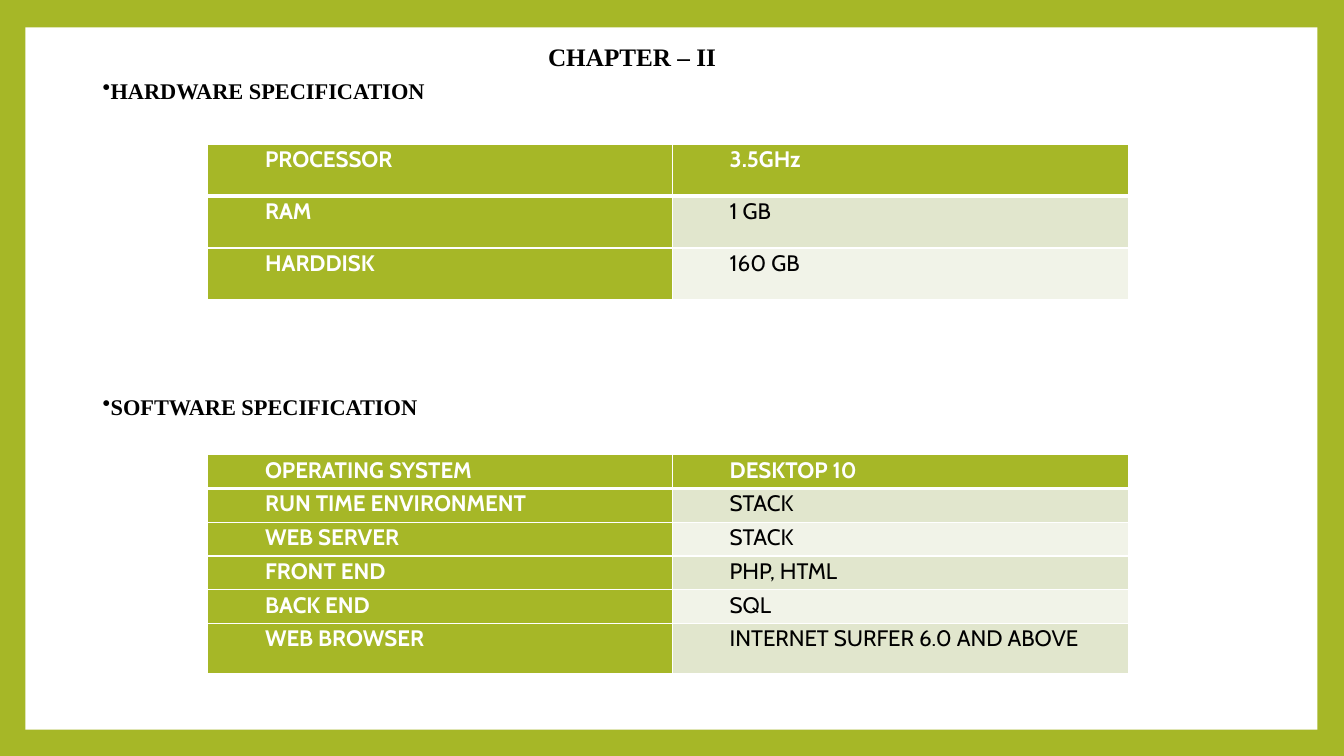
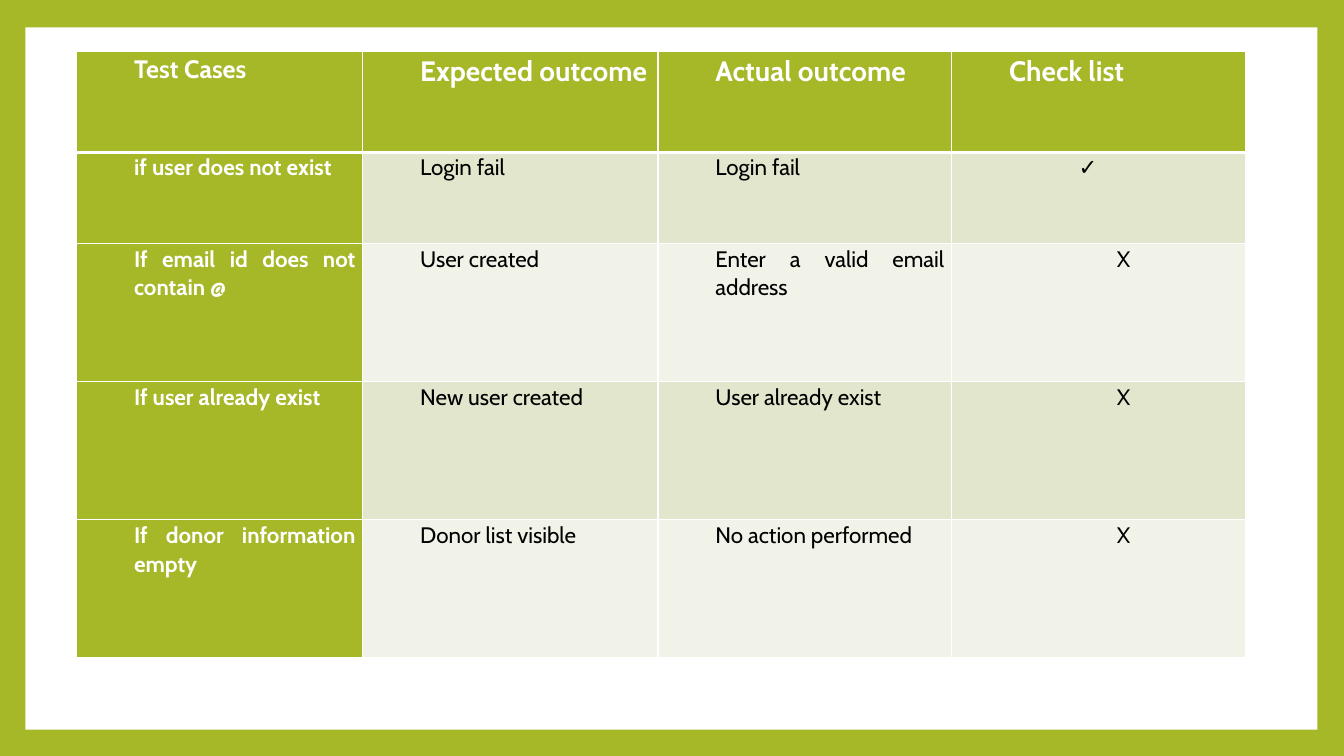
from pptx import Presentation
from pptx.dml.color import RGBColor
from pptx.enum.shapes import MSO_SHAPE
from pptx.enum.text import MSO_ANCHOR, PP_ALIGN
from pptx.oxml import parse_xml
from pptx.oxml.ns import nsdecls
from pptx.util import Cm, Pt

GREEN, WHITE, BLACK = "A6B727", "FFFFFF", "000000"
BANDS = ("E1E6CD", "F1F3E8")
HEADING_FONT, TABLE_FONT = "Times New Roman", "Cabin"
CELL_INDENT, CHECK_INDENT = 1.27, 3.02

CHAPTER = "CHAPTER – II"
SPEC_LEFT, SPEC_COLUMNS = 5.23, (11.71, 11.51)
SECTIONS = [
    {
        "heading": "HARDWARE SPECIFICATION",
        "heading_top": 1.77,
        "table_top": 3.63,
        "heights": [1.31] * 3,
        "rows": [("PROCESSOR", "3.5GHz"), ("RAM", "1 GB"), ("HARDDISK", "160 GB")],
    },
    {
        "heading": "SOFTWARE SPECIFICATION",
        "heading_top": 9.73,
        "table_top": 11.46,
        "heights": [0.85] * 5 + [1.27],
        "rows": [
            ("OPERATING SYSTEM", "DESKTOP 10"),
            ("RUN TIME ENVIRONMENT", "STACK"),
            ("WEB SERVER", "STACK"),
            ("FRONT END", "PHP, HTML"),
            ("BACK END", "SQL"),
            ("WEB BROWSER", "INTERNET SURFER 6.0 AND ABOVE"),
        ],
    },
]

TEST_COLUMNS = (7.21, 7.44, 7.4, 7.4)
TEST_HEIGHTS = (2.54, 2.3, 3.48, 3.48, 3.48)
TEST_HEADER_SIZES = (18, 20, 20, 20)
TEST_ROWS = [
    ("Test Cases", "Expected outcome", "Actual outcome", "Check list"),
    ("if user does not exist", "Login fail", "Login fail", "✓"),
    ("If email id does not contain @", "User created", "Enter a valid email address", "X"),
    ("If user already exist", "New user created", "User already exist", "X"),
    ("If donor information empty", "Donor list visible", "No action performed", "X"),
]


def rgb(value):
    """Turn a hex string into a colour."""
    return RGBColor.from_string(value)


def style(paragraph, font_name, size, color, bold):
    """Set the font of a whole paragraph."""
    font = paragraph.font
    font.name, font.size, font.bold = font_name, Pt(size), bold
    font.color.rgb = rgb(color)


def add_framed_slide(prs):
    """Add a slide with the white panel inside the green border."""
    slide = prs.slides.add_slide(prs.slide_layouts[6])
    panel = slide.shapes.add_shape(MSO_SHAPE.RECTANGLE, Cm(0.64), Cm(0.69), Cm(32.56), Cm(17.7))
    panel.shadow.inherit = False
    panel.fill.solid()
    panel.fill.fore_color.rgb = rgb(WHITE)
    panel.line.fill.background()
    return slide


def add_heading(slide, text, box, size):
    """Add a bold heading in a box and return its paragraph."""
    frame = slide.shapes.add_textbox(*map(Cm, box)).text_frame
    frame.vertical_anchor = MSO_ANCHOR.MIDDLE
    paragraph = frame.paragraphs[0]
    paragraph.text = text
    style(paragraph, HEADING_FONT, size, BLACK, True)
    return paragraph


def add_bullet(paragraph):
    """Put a bullet directly before the text."""
    properties = paragraph._p.get_or_add_pPr()
    properties.set("marL", "0")
    properties.set("indent", "0")
    properties.append(parse_xml(f'<a:buChar {nsdecls("a")} char="•"/>'))


def set_borders(cell, row):
    """Draw white cell borders, heavier under the header row."""
    widths = {"L": 1, "R": 1, "T": 3 if row == 1 else 1, "B": 3 if row == 0 else 1}
    for side, width in widths.items():
        cell._tc.get_or_add_tcPr().append(parse_xml(
            f'<a:ln{side} {nsdecls("a")} w="{Pt(width)}"><a:solidFill>'
            f'<a:srgbClr val="{WHITE}"/></a:solidFill></a:ln{side}>'))


def fill_cell(cell, text, row, column, size, align):
    """Write and colour one cell according to its place in the table."""
    is_label = row == 0 or column == 0
    set_borders(cell, row)
    cell.fill.solid()
    cell.fill.fore_color.rgb = rgb(GREEN if is_label else BANDS[(row - 1) % 2])
    cell.margin_left = cell.margin_right = Cm(0.18)
    cell.margin_top = cell.margin_bottom = 0
    paragraph = cell.text_frame.paragraphs[0]
    paragraph.text = text
    paragraph.line_spacing = 1.07
    paragraph.alignment = {"X": PP_ALIGN.CENTER, "✓": PP_ALIGN.LEFT}.get(text, align)
    indent = CHECK_INDENT if text == "✓" else CELL_INDENT
    paragraph._p.get_or_add_pPr().set("marL", str(Cm(indent)))
    style(paragraph, TABLE_FONT, size, WHITE if is_label else BLACK, is_label)


def add_grid(slide, rows, left, top, widths, heights, align, header_sizes):
    """Add a table with a green header row and first column."""
    table = slide.shapes.add_table(
        len(rows), len(widths), Cm(left), Cm(top), Cm(sum(widths)), Cm(sum(heights))).table
    for column, width in zip(table.columns, widths):
        column.width = Cm(width)
    for r, (texts, height) in enumerate(zip(rows, heights)):
        table.rows[r].height = Cm(height)
        for c, text in enumerate(texts):
            size = header_sizes[c] if r == 0 else 16
            fill_cell(table.cell(r, c), text, r, c, size, align)


def build_specifications(prs):
    """Build the hardware and software slide."""
    slide = add_framed_slide(prs)
    title = add_heading(slide, CHAPTER, (13.54, 0.51, 4.78, 1.42), 18)
    title.alignment = PP_ALIGN.CENTER
    title.line_spacing = 1.5
    for section in SECTIONS:
        box = (2.34, section["heading_top"], 20, 1.02)
        add_bullet(add_heading(slide, section["heading"], box, 16))
        add_grid(slide, section["rows"], SPEC_LEFT, section["table_top"], SPEC_COLUMNS,
                 section["heights"], PP_ALIGN.LEFT, (16, 16))


def build_test_cases(prs):
    """Build the test case slide."""
    add_grid(add_framed_slide(prs), TEST_ROWS, 1.93, 1.3, TEST_COLUMNS,
             TEST_HEIGHTS, PP_ALIGN.JUSTIFY, TEST_HEADER_SIZES)


def main():
    """Build and save the presentation."""
    prs = Presentation()
    prs.slide_width, prs.slide_height = Cm(33.87), Cm(19.05)
    background = prs.slide_master.background.fill
    background.solid()
    background.fore_color.rgb = rgb(GREEN)
    build_specifications(prs)
    build_test_cases(prs)
    prs.save("out.pptx")


if __name__ == "__main__":
    main()
